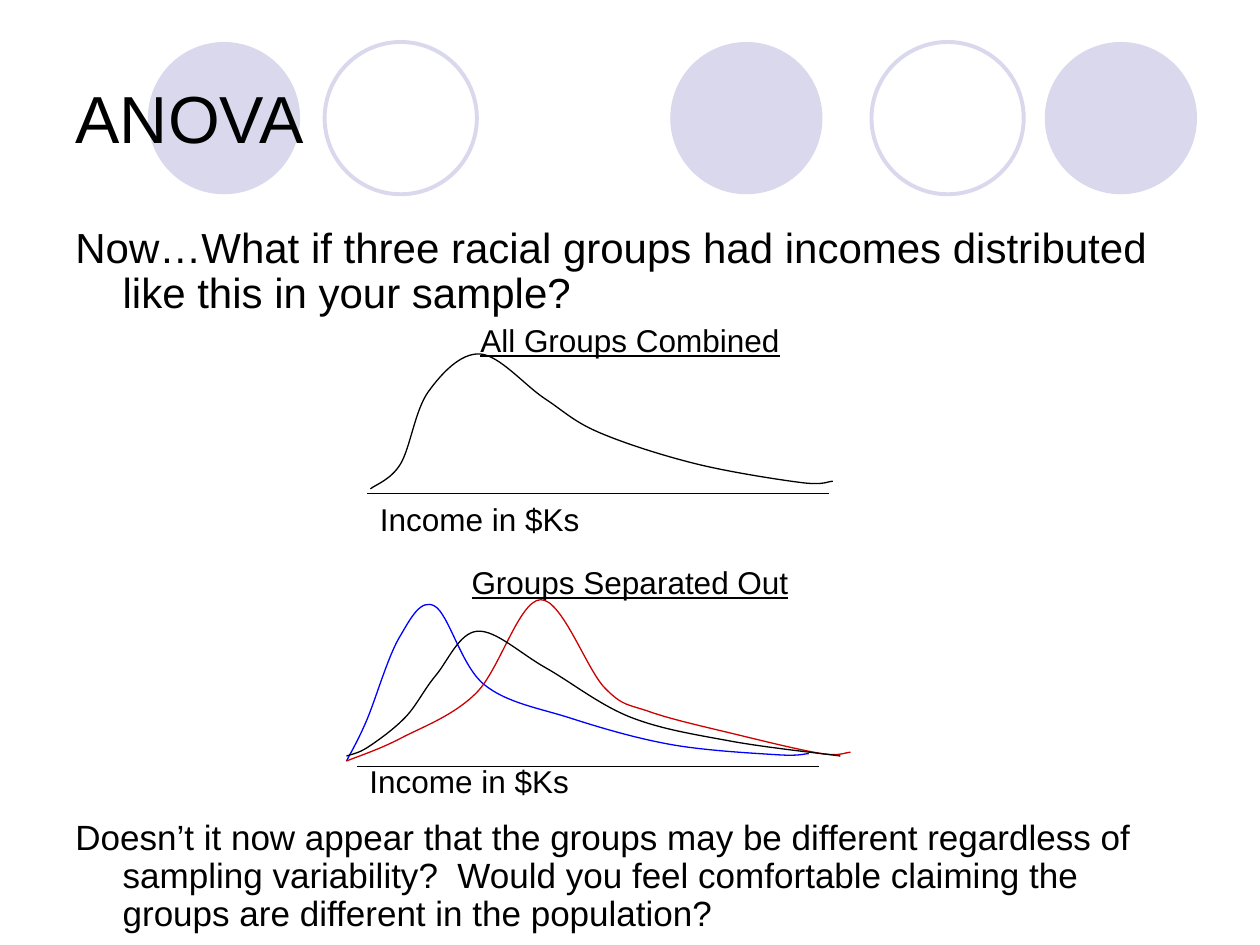
from lxml import etree
from pptx import Presentation
from pptx.dml.color import RGBColor
from pptx.enum.shapes import MSO_CONNECTOR, MSO_SHAPE
from pptx.enum.text import MSO_ANCHOR, PP_ALIGN
from pptx.oxml.ns import qn
from pptx.util import Pt

LEFT, MID = PP_ALIGN.LEFT, PP_ALIGN.CENTER
OVAL, LINE = MSO_SHAPE.OVAL, MSO_CONNECTOR.STRAIGHT
MIDDLE = MSO_ANCHOR.MIDDLE


class Theme:
    font = "Arial"
    ink = RGBColor(0, 0, 0)
    lilac = RGBColor(0xD9, 0xD8, 0xEC)
    blue = RGBColor(0, 0, 0xFF)
    red = RGBColor(0xCC, 0, 0)
    title, lead, label, close = 38, 24, 18, 20
    thin, ring = 0.75, 2.25


def add_run(para, text, size, under=False):
    run = para.add_run()
    run.text = text
    font = run.font
    font.name, font.size, font.underline = Theme.font, Pt(size), under
    font.color.rgb = Theme.ink


def add_curve(shapes, knots, color):
    """Draw a smooth curve through the knots."""
    last = len(knots) - 1
    slopes = []
    for i in range(last + 1):
        prev, after = knots[max(i - 1, 0)], knots[min(i + 1, last)]
        slopes.append([(b - a) / 6 for a, b in zip(prev, after)])
    points = []
    for i in range(last):
        (x, y), (u, v) = knots[i], knots[i + 1]
        (dx, dy), (du, dv) = slopes[i], slopes[i + 1]
        points += [(x + dx, y + dy), (u - du, v - dv), (u, v)]
    build = shapes.build_freeform(Pt(knots[0][0]), Pt(knots[0][1]))
    build.add_line_segments([(Pt(x), Pt(y)) for x, y in points], close=False)
    curve = build.convert_to_shape()
    curve.shadow.inherit = False
    curve.fill.background()
    curve.line.color.rgb = color
    curve.line.width = Pt(Theme.thin)
    # Turn each three line steps into one Bezier step
    trace = next(curve.element.iter(qn("a:path")))
    steps = trace.findall(qn("a:lnTo"))
    for i in range(0, len(steps), 3):
        bend = etree.SubElement(trace, qn("a:cubicBezTo"))
        for step in steps[i:i + 3]:
            bend.append(step[0])
            trace.remove(step)


deck = Presentation()
deck.slide_width, deck.slide_height = Pt(720), Pt(540)
slide = deck.slides.add_slide(deck.slide_layouts[5])
shapes = slide.shapes

# Row of circles: left edge, filled or ring
for x, full in [(383, True), (597, True), (84.5, True),
                (498, False), (185.5, False)]:
    disc = shapes.add_shape(OVAL, Pt(x), Pt(24), Pt(87), Pt(87))
    disc.shadow.inherit = False
    if full:
        disc.fill.solid()
        disc.fill.fore_color.rgb = Theme.lilac
        disc.line.fill.background()
    else:
        disc.fill.background()
        disc.line.color.rgb = Theme.lilac
        disc.line.width = Pt(Theme.ring)

# Title, in front of the circles
title = shapes.title
title.element.getparent().append(title.element)
title.left, title.top, title.width, title.height = Pt(36), Pt(21.6), Pt(648), Pt(90)
title.text_frame.vertical_anchor = MIDDLE
para = title.text_frame.paragraphs[0]
para.alignment = LEFT
add_run(para, "ANOVA", Theme.title)

# Body: text, size, alignment, space before, underline
body = shapes.add_textbox(Pt(36), Pt(126), Pt(648), Pt(414)).text_frame
body.word_wrap = True
lines = [
    ("Now…What if three racial groups had incomes distributed "
     "like this in your sample?", Theme.lead, LEFT, 0, False),
    ("All Groups Combined", Theme.label, MID, 4.5, True),
    ("Groups Separated Out", Theme.label, MID, 118.7, True),
    ("Doesn’t it now appear that the groups may be different regardless of "
     "sampling variability?  Would you feel comfortable claiming the groups "
     "are different in the population?", Theme.close, LEFT, 125.5, False),
]
for i, (text, size, align, gap, under) in enumerate(lines):
    para = body.add_paragraph() if i else body.paragraphs[0]
    props = para._p.get_or_add_pPr()
    props.set("marL", str(Pt(27)))
    props.set("indent", str(-Pt(27)))
    para.alignment, para.line_spacing, para.space_before = align, 0.9, Pt(gap)
    add_run(para, text, size, under)

# Income axes with their labels: left, line height, label top
for x, y, top in [(210, 282.2, 282), (204, 438, 432)]:
    axis = shapes.add_connector(LINE, Pt(x), Pt(y), Pt(x + 264), Pt(y))
    axis.line.color.rgb = Theme.ink
    axis.line.width = Pt(Theme.thin)
    etree.SubElement(axis.element.spPr, qn("a:effectLst"))
    note = shapes.add_textbox(Pt(x), Pt(top), Pt(282), Pt(29)).text_frame
    note.word_wrap = True
    add_run(note.paragraphs[0], "Income in $Ks", Theme.label)

# Income curves: all groups, then each group
curves = [
    (Theme.ink, [(211.7, 279.4), (229, 265), (244.8, 223.9), (274.3, 202.3),
                 (311.2, 227.7), (342, 247), (397.4, 265), (457.9, 275.8),
                 (475.9, 275)]),
    (Theme.blue, [(198, 434.9), (209.5, 411.8), (228.2, 364.3), (248.4, 346.3),
                  (276.5, 391), (326.2, 410.4), (383.8, 425.5),
                  (444.2, 431.3), (462.2, 430.6)]),
    (Theme.red, [(198, 434.9), (229, 421.9), (272.2, 396), (308.9, 342.7),
                 (345.6, 393.1), (371.5, 406.8), (421.2, 419.8),
                 (469.4, 430.6), (486, 429.8)]),
    (Theme.ink, [(198, 432), (210.2, 427), (231.8, 409.7), (249.1, 385.9),
                 (272.9, 360.7), (311.8, 381.6), (360, 409.7),
                 (416.9, 423.4), (480.2, 432)]),
]
for color, knots in curves:
    add_curve(shapes, knots, color)

deck.save("out.pptx")
